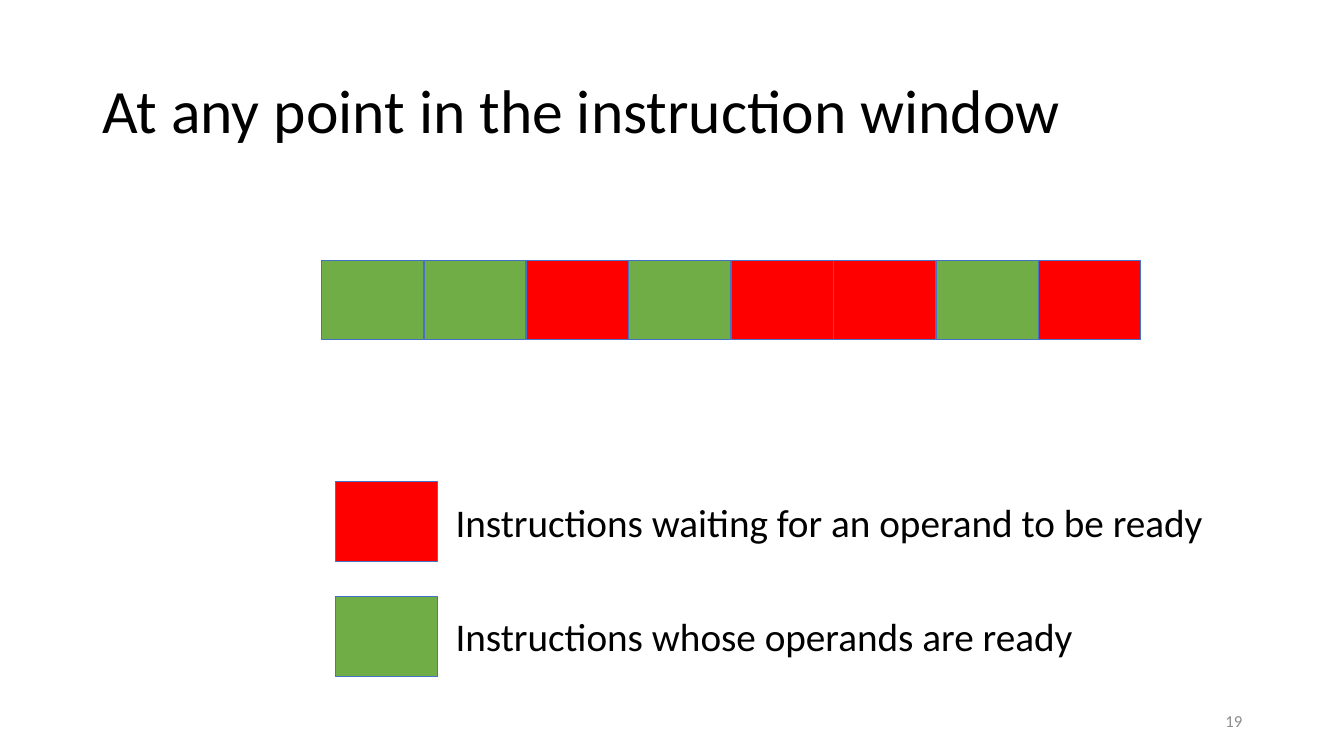
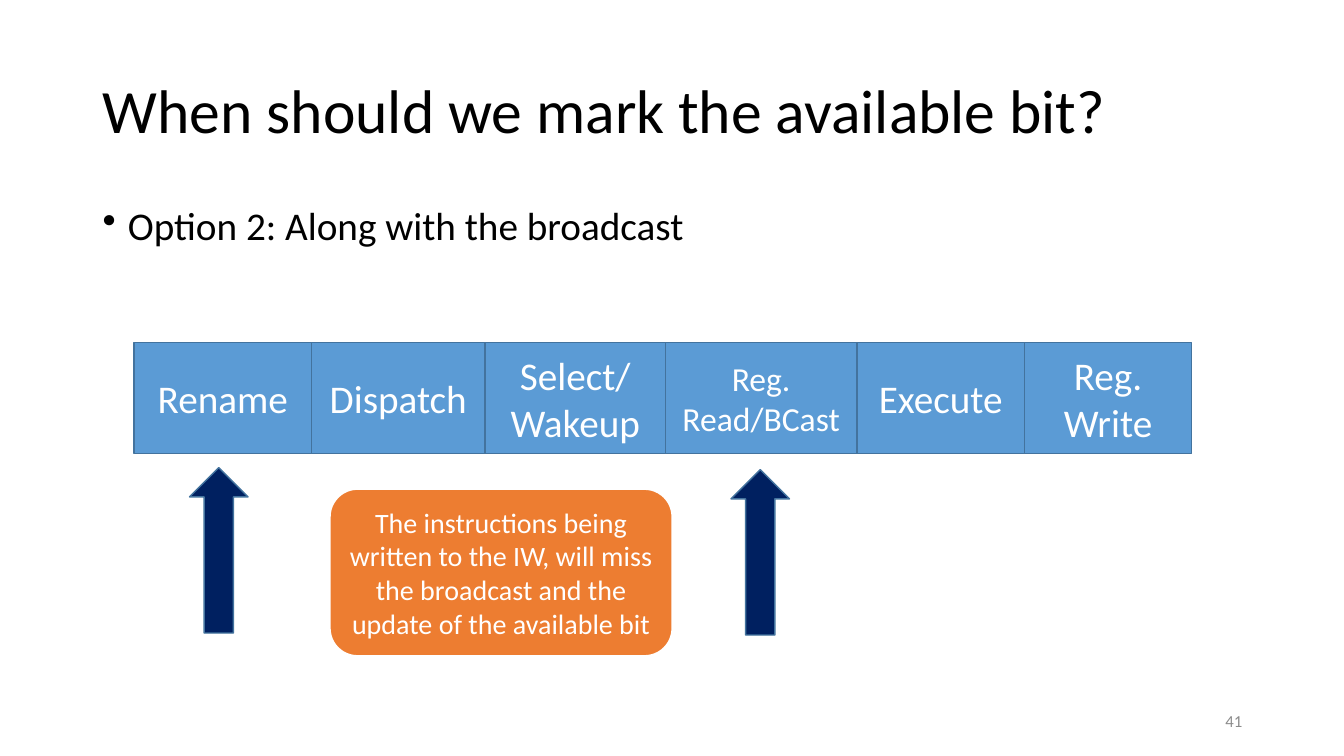
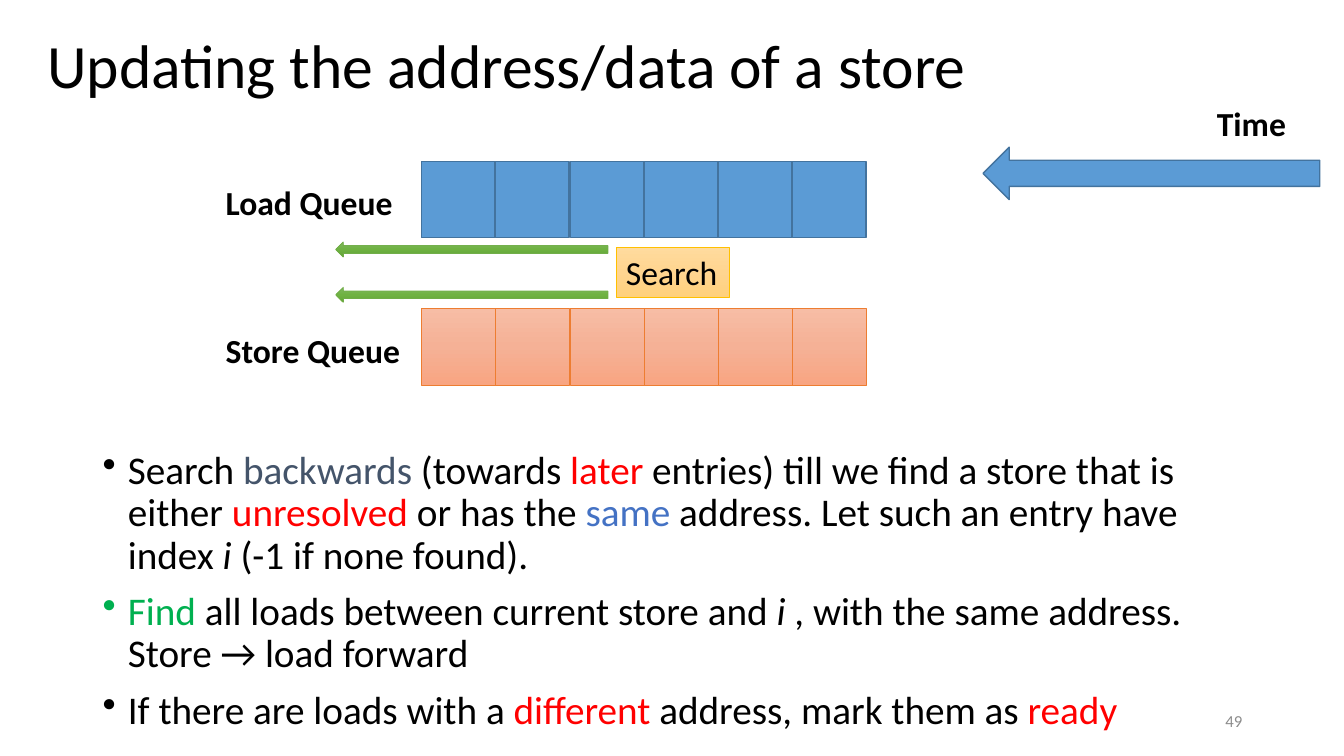
"""Build three slides on instruction windows and load/store queues."""

from copy import deepcopy
from dataclasses import dataclass
from itertools import accumulate
from typing import Any, NamedTuple

from lxml import etree
from pptx import Presentation
from pptx.dml.color import RGBColor
from pptx.enum.shapes import MSO_SHAPE
from pptx.enum.text import MSO_ANCHOR, PP_ALIGN
from pptx.oxml.ns import qn
from pptx.util import Inches, Pt

RECTANGLE = MSO_SHAPE.RECTANGLE
ROUNDED = MSO_SHAPE.ROUNDED_RECTANGLE
UP_ARROW = MSO_SHAPE.UP_ARROW
LEFT_ARROW = MSO_SHAPE.LEFT_ARROW
TOP, MIDDLE = MSO_ANCHOR.TOP, MSO_ANCHOR.MIDDLE
LEFT, CENTER, RIGHT = PP_ALIGN.LEFT, PP_ALIGN.CENTER, PP_ALIGN.RIGHT

FONT = "Calibri"
BLACK, WHITE, GREY = "000000", "FFFFFF", "8C8C8C"
RED, GREEN, NAVY, SLATE = "FF0000", "70AD47", "002060", "44546A"
BLUE, EMERALD = "4472C4", "00B050"


class Box(NamedTuple):
    """Place and size in inches."""

    left: float
    top: float
    width: float
    height: float


class Run(NamedTuple):
    """A stretch of text with one look."""

    text: str
    color: str = BLACK
    italic: bool = False


@dataclass(frozen=True)
class TextStyle:
    """How the paragraphs of a text are set."""

    size: float
    color: str = BLACK
    bold: bool = False
    align: Any = LEFT
    anchor: Any = TOP
    wrap: bool = True
    line_spacing: float = 1.0
    bullet: bool = False


@dataclass(frozen=True)
class Look:
    """Fill colours from top to bottom, and the outline."""

    fill: tuple[str, ...]
    line: str
    weight: float


TITLE = TextStyle(44, anchor=MIDDLE, line_spacing=0.9)
BODY = TextStyle(28, line_spacing=0.9, bullet=True)
LEGEND = TextStyle(28, wrap=False)
LABEL = TextStyle(24, bold=True, wrap=False)
SEARCH = TextStyle(24)
STAGE = TextStyle(28, WHITE, align=CENTER, anchor=MIDDLE)
SMALL_STAGE = TextStyle(24, WHITE, align=CENTER, anchor=MIDDLE)
NOTE = TextStyle(20, WHITE, align=CENTER, anchor=MIDDLE)
NUMBER = TextStyle(12, GREY, align=RIGHT, anchor=MIDDLE)

READY = Look((GREEN,), BLUE, 0.5)
WAITING = Look((RED,), BLUE, 0.5)
PIPELINE = Look(("5B9BD5",), "43739E", 1)
MARKER = Look((NAVY,), "43739E", 1)
CALLOUT = Look(("ED7D31",), WHITE, 1.5)
STORE = Look(("F7BDA5", "F5B196", "F8A582"), "ED7D31", 0.5)
SCAN = Look(("81B861", "6FB242", "62A336"), GREEN, 0.5)
SEARCH_TAG = Look(("FFDB9E", "FFD590", "FFD07C"), "FFC000", 0.5)

TITLE_BOX = Box(0.92, 0.4, 11.5, 1.45)
NUMBER_BOX = Box(9.42, 6.95, 3, 0.4)


def rgb(color: str) -> RGBColor:
    """Turn a hex string into a colour."""
    return RGBColor.from_string(color)


def inches(box: Box) -> list[int]:
    """Turn a box into lengths."""
    return [Inches(value) for value in box]


def apply(target: Any, values: dict[str, Any]) -> None:
    """Set each named attribute of the target."""
    for name, value in values.items():
        setattr(target, name, value)


def add_bullet(paragraph: Any) -> None:
    """Give a paragraph a hanging bullet."""
    properties = paragraph._p.get_or_add_pPr()
    properties.set("marL", str(Inches(0.25)))
    properties.set("indent", str(-Inches(0.25)))
    etree.SubElement(properties, qn("a:buChar")).set("char", "•")


def write(shape: Any, paragraphs: list[list[Run]], style: TextStyle) -> None:
    """Write the paragraphs into a shape."""
    frame = shape.text_frame
    apply(frame, {"word_wrap": style.wrap, "vertical_anchor": style.anchor})
    for index, runs in enumerate(paragraphs):
        paragraph = frame.add_paragraph() if index else frame.paragraphs[0]
        apply(paragraph, {
            "alignment": style.align,
            "line_spacing": style.line_spacing,
            "space_before": Pt(10 if index else 0),
        })
        if style.bullet:
            add_bullet(paragraph)
        for part in runs:
            run = paragraph.add_run()
            run.text = part.text
            apply(run.font, {
                "name": FONT,
                "size": Pt(style.size),
                "bold": style.bold,
                "italic": part.italic,
            })
            run.font.color.rgb = rgb(part.color)


def add_text(slide: Any, box: Box, text: str, style: TextStyle) -> None:
    """Add a text box with one line of text."""
    write(slide.shapes.add_textbox(*inches(box)), [[Run(text, style.color)]], style)


def add_body(slide: Any, box: Box, paragraphs: list[list[Run]]) -> None:
    """Add a bulleted list."""
    write(slide.shapes.add_textbox(*inches(box)), paragraphs, BODY)


def paint(shape: Any, look: Look) -> None:
    """Fill and outline a shape."""
    shape.shadow.inherit = False
    if len(look.fill) == 1:
        shape.fill.solid()
        shape.fill.fore_color.rgb = rgb(look.fill[0])
    else:
        shape.fill.gradient()
        shape.fill.gradient_angle = 270
        stop_list = shape._element.spPr.find(".//" + qn("a:gsLst"))
        stop_list.insert(1, deepcopy(stop_list[0]))
        for index, stop in enumerate(shape.fill.gradient_stops):
            stop.position = index / 2
            stop.color.rgb = rgb(look.fill[index])
    shape.line.color.rgb = rgb(look.line)
    shape.line.width = Pt(look.weight)


def add_figure(slide: Any, kind: Any, box: Box, look: Look,
               text: str = "", style: TextStyle = STAGE) -> None:
    """Add a preset shape, with text if given."""
    shape = slide.shapes.add_shape(kind, *inches(box))
    paint(shape, look)
    if text:
        write(shape, [[Run(text, style.color)]], style)


def add_slide(presentation: Any, title: str, number: int, title_box: Box = TITLE_BOX) -> Any:
    """Add a blank slide with its title and number."""
    slide = presentation.slides.add_slide(presentation.slide_layouts[6])
    add_text(slide, title_box, title, TITLE)
    add_text(slide, NUMBER_BOX, str(number), NUMBER)
    return slide


def build_window(presentation: Any) -> None:
    """Show ready and waiting instructions in the window."""
    slide = add_slide(presentation, "At any point in the instruction window", 19)
    window = [READY, READY, WAITING, READY, WAITING, WAITING, READY, WAITING]
    pitch = 7.11 / 7
    for index, look in enumerate(window):
        add_figure(slide, RECTANGLE, Box(3.19 + index * pitch, 2.58, 1.01, 0.79), look)
    legend = [
        (4.78, WAITING, 7.7, "Instructions waiting for an operand to be ready"),
        (5.92, READY, 6.39, "Instructions whose operands are ready"),
    ]
    for top, look, width, text in legend:
        add_figure(slide, RECTANGLE, Box(3.33, top, 1.01, 0.79), look)
        add_text(slide, Box(4.42, top + 0.11, width, 0.57), text, LEGEND)


def build_pipeline(presentation: Any) -> None:
    """Show the pipeline stages and the broadcast problem."""
    slide = add_slide(presentation, "When should we mark the available bit?", 41)
    add_body(slide, Box(0.92, 2, 11.5, 4.76), [[Run("Option 2: Along with the broadcast")]])
    stages = [
        ("Rename", 1.76, STAGE),
        ("Dispatch", 1.72, STAGE),
        ("Select/ Wakeup", 1.79, STAGE),
        ("Reg. Read/BCast", 1.9, SMALL_STAGE),
        ("Execute", 1.66, STAGE),
        ("Reg. Write", 1.66, STAGE),
    ]
    lefts = accumulate((width for _, width, _ in stages), initial=1.33)
    for left, (name, width, style) in zip(lefts, stages):
        add_figure(slide, RECTANGLE, Box(left, 3.4, width, 1.1), PIPELINE, name, style)
    for left, top in [(1.88, 4.64), (7.25, 4.66)]:
        add_figure(slide, UP_ARROW, Box(left, top, 0.58, 1.64), MARKER)
    add_figure(
        slide, ROUNDED, Box(3.27, 4.85, 3.4, 1.66), CALLOUT,
        "The instructions being written to the IW, will miss the broadcast "
        "and the update of the available bit", NOTE)


def build_queues(presentation: Any) -> None:
    """Show the search through the load and store queues."""
    slide = add_slide(presentation, "Updating the address/data of a store", 49,
                      Box(0.37, -0.05, 11.5, 1.45))
    add_body(slide, Box(0.92, 4.42, 11.5, 2.94), [
        [
            Run("Search "), Run("backwards", SLATE), Run(" (towards "), Run("later", RED),
            Run(" entries) till we find a store that is either "), Run("unresolved", RED),
            Run(" or has the "), Run("same", BLUE),
            Run(" address. Let such an entry have index "), Run("i ", italic=True),
            Run("(-1 if none found)."),
        ],
        [
            Run("Find", EMERALD), Run(" all loads between current store and "),
            Run("i ", italic=True), Run(", with the same address. Store → load forward"),
        ],
        [
            Run("If there are loads with a "), Run("different", RED),
            Run(" address, mark them as "), Run("ready", RED),
        ],
    ])
    pitch = 2.2 / 3
    queues = [("Load Queue", 1.6, 1.88, PIPELINE), ("Store Queue", 3.06, 1.95, STORE)]
    for name, top, width, look in queues:
        add_text(slide, Box(2.14, top + 0.16, width, 0.5), name, LABEL)
        for start, count in [(4.18, 2), (5.66, 4)]:
            for index in range(count):
                add_figure(slide, RECTANGLE, Box(start + index * pitch, top, 0.73, 0.76), look)
    add_figure(slide, LEFT_ARROW, Box(9.75, 1.46, 3.34, 0.52), PIPELINE)
    add_text(slide, Box(11.97, 0.97, 0.89, 0.5), "Time", LABEL)
    for top in (2.4, 2.85):
        add_figure(slide, LEFT_ARROW, Box(3.33, top, 2.7, 0.15), SCAN)
    add_figure(slide, RECTANGLE, Box(6.11, 2.45, 1.12, 0.5), SEARCH_TAG, "Search", SEARCH)


def main() -> None:
    """Build and save the presentation."""
    presentation = Presentation()
    apply(presentation, {"slide_width": Inches(13.33), "slide_height": Inches(7.5)})
    for build in (build_window, build_pipeline, build_queues):
        build(presentation)
    presentation.save("out.pptx")


if __name__ == "__main__":
    main()
